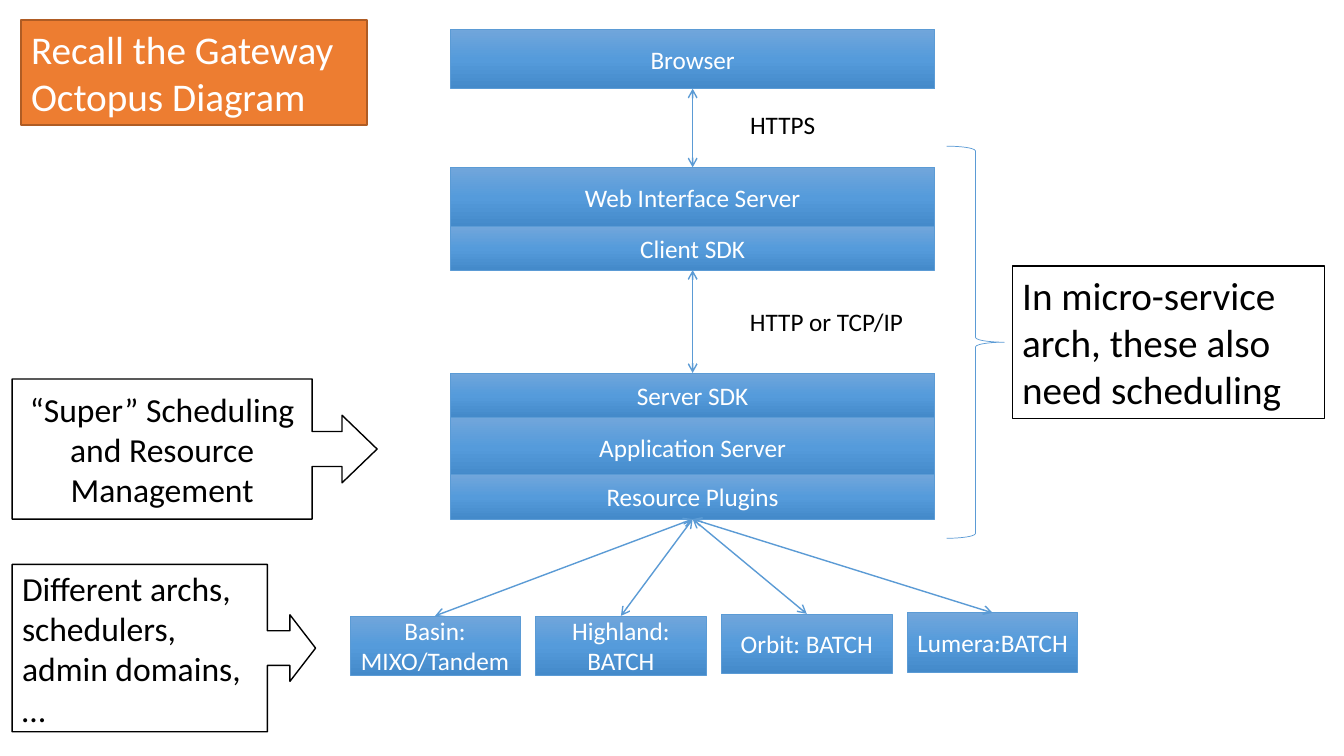
import copy

import pptx
import pptx.dml.color
import pptx.enum.shapes
import pptx.enum.text
import pptx.oxml
import pptx.util

Inches = pptx.util.Inches
RGBColor = pptx.dml.color.RGBColor
SHAPE = pptx.enum.shapes.MSO_SHAPE
ALIGN = pptx.enum.text.PP_ALIGN
ANCHOR = pptx.enum.text.MSO_ANCHOR
AUTO_SIZE = pptx.enum.text.MSO_AUTO_SIZE

WHITE = RGBColor(0xFF, 0xFF, 0xFF)
BLACK = RGBColor(0x00, 0x00, 0x00)
BLUE = RGBColor(0x5B, 0x9B, 0xD5)
ORANGE = RGBColor(0xED, 0x7D, 0x31)
DARK_ORANGE = RGBColor(0xAF, 0x5C, 0x24)
BLOCK_GRADIENT = (
    (0, RGBColor(0x71, 0xA6, 0xDB)),
    (0.5, RGBColor(0x55, 0x9B, 0xDB)),
    (1, RGBColor(0x44, 0x8A, 0xCA)),
)
FONT = "Calibri"

# name, top and height within the stack
LAYERS = (
    ("Browser", 0, 0.59),
    ("Web Interface Server", 1.37, 0.59),
    ("Client SDK", 1.96, 0.43),
    ("Server SDK", 3.41, 0.44),
    ("Application Server", 3.85, 0.59),
    ("Resource Plugins", 4.42, 0.44),
)
# name and top within the row
CLUSTERS = (
    ("Basin: MIXO/Tandem", 0.03),
    ("Highland: BATCH", 0.03),
    ("Orbit: BATCH", 0.01),
    ("Lumera:BATCH", 0),
)


def write_text(shape, text, size, color, align=ALIGN.LEFT, anchor=ANCHOR.TOP):
    frame = shape.text_frame
    frame.text = text
    frame.word_wrap = True
    frame.vertical_anchor = anchor
    for para in frame.paragraphs:
        para.alignment = align
        for span in para.runs:
            span.font.name = FONT
            span.font.size = pptx.util.Pt(size)
            span.font.color.rgb = color


def add_outlined(page, kind, box, line_color, line_width):
    shape = page.shapes.add_shape(kind, *map(Inches, box))
    shape.shadow.inherit = False
    shape.line.color.rgb = line_color
    shape.line.width = pptx.util.Pt(line_width)
    return shape


def fill_gradient(shape):
    """Fill from top to bottom with the three block colours."""
    shape.fill.gradient()
    shape.fill.gradient_angle = 270
    stop_list = shape.element.xpath(".//a:gsLst")[0]
    stop_list.insert(1, copy.deepcopy(stop_list[0]))
    for stop, (position, color) in zip(shape.fill.gradient_stops, BLOCK_GRADIENT):
        stop.position = position
        stop.color.rgb = color


def add_block(page, text, box):
    block = add_outlined(page, SHAPE.RECTANGLE, box, BLUE, 0.5)
    fill_gradient(block)
    write_text(block, text, 18, WHITE, ALIGN.CENTER, ANCHOR.MIDDLE)
    return block


def add_double_arrow(page, upper, lower):
    """Join the bottom of the upper block to the top of the lower one."""
    arrow = page.shapes.add_connector(
        pptx.enum.shapes.MSO_CONNECTOR.STRAIGHT, 0, 0, 0, 0)
    arrow.begin_connect(upper, 2)
    arrow.end_connect(lower, 0)
    arrow.line.color.rgb = BLUE
    arrow.line.width = pptx.util.Pt(1)
    outline = arrow.line._get_or_add_ln()
    for tag in ("headEnd", "tailEnd"):
        end = pptx.oxml.parse_xml(
            f'<a:{tag} xmlns:a="http://schemas.openxmlformats.org/drawingml/2006/main"'
            ' type="arrow"/>')
        outline.append(end)
    arrow.element.spPr.append(pptx.oxml.parse_xml(
        '<a:effectLst xmlns:a="http://schemas.openxmlformats.org/drawingml/2006/main"/>'))


def add_protocol(page, text, box):
    label = page.shapes.add_textbox(*map(Inches, box))
    write_text(label, text, 18, BLACK)
    label.text_frame.word_wrap = False
    label.text_frame.auto_size = AUTO_SIZE.SHAPE_TO_FIT_TEXT


def add_stack(page, left, top, width):
    """Draw the software layers and return the lowest block."""
    blocks = {
        name: add_block(page, name, (left, top + offset, width, height))
        for name, offset, height in LAYERS
    }
    add_double_arrow(page, blocks["Browser"], blocks["Web Interface Server"])
    add_double_arrow(page, blocks["Client SDK"], blocks["Server SDK"])
    add_protocol(page, "HTTPS", (left + 2.87, top + 0.75, 0.85, 0.4))
    add_protocol(page, "HTTP or TCP/IP", (left + 2.87, top + 2.7, 1.74, 0.4))
    return blocks["Resource Plugins"]


def add_clusters(page, left, top, width, plugins):
    block_width = 1.69
    pitch = (width - block_width) / (len(CLUSTERS) - 1)
    for index, (name, offset) in enumerate(CLUSTERS):
        box = (left + index * pitch, top + offset, block_width, 0.59)
        add_double_arrow(page, plugins, add_block(page, name, box))


def add_note(page, text, box, fill, line_color, text_color):
    note = add_outlined(page, SHAPE.RECTANGLE, box, line_color, 1)
    note.fill.solid()
    note.fill.fore_color.rgb = fill
    write_text(note, text, 28, text_color)
    note.text_frame.auto_size = AUTO_SIZE.SHAPE_TO_FIT_TEXT


def add_callout(page, text, box, adjustments, align):
    callout = add_outlined(page, SHAPE.RIGHT_ARROW_CALLOUT, box, BLACK, 1)
    for index, value in enumerate(adjustments):
        callout.adjustments[index] = value
    callout.fill.solid()
    callout.fill.fore_color.rgb = WHITE
    write_text(callout, text, 24, BLACK, align, ANCHOR.MIDDLE)


def add_scheduling_brace(page, left, top, height):
    brace = add_outlined(page, SHAPE.RIGHT_BRACE, (left, top, 0.57, height), BLUE, 0.5)
    brace.fill.background()
    add_note(page, "In micro-service arch, these also need scheduling",
             (left + 0.65, top + 1.19, 3.1, 1.51), WHITE, BLACK, BLACK)


def build_gateway_page(page):
    plugins = add_stack(page, 4.47, 0.29, 4.8)
    add_clusters(page, 3.47, 6.08, 7.22, plugins)
    add_note(page, "Recall the Gateway Octopus Diagram",
             (0.21, 0.2, 3.43, 1.04), ORANGE, DARK_ORANGE, WHITE)
    add_callout(page, "Different archs, schedulers, admin domains,\n…",
                (0.12, 5.6, 3.01, 1.66), (0.207, 0.199, 0.153, 0.841), ALIGN.LEFT)
    add_callout(page, "“Super” Scheduling and Resource Management",
                (0.12, 3.76, 3.62, 1.39), (0.25, 0.241, 0.25, 0.822), ALIGN.CENTER)
    add_scheduling_brace(page, 9.39, 1.45, 3.89)


def main():
    deck = pptx.Presentation()
    deck.slide_width = Inches(13.33)
    deck.slide_height = Inches(7.5)
    build_gateway_page(deck.slides.add_slide(deck.slide_layouts[6]))
    deck.save("out.pptx")


if __name__ == "__main__":
    main()
